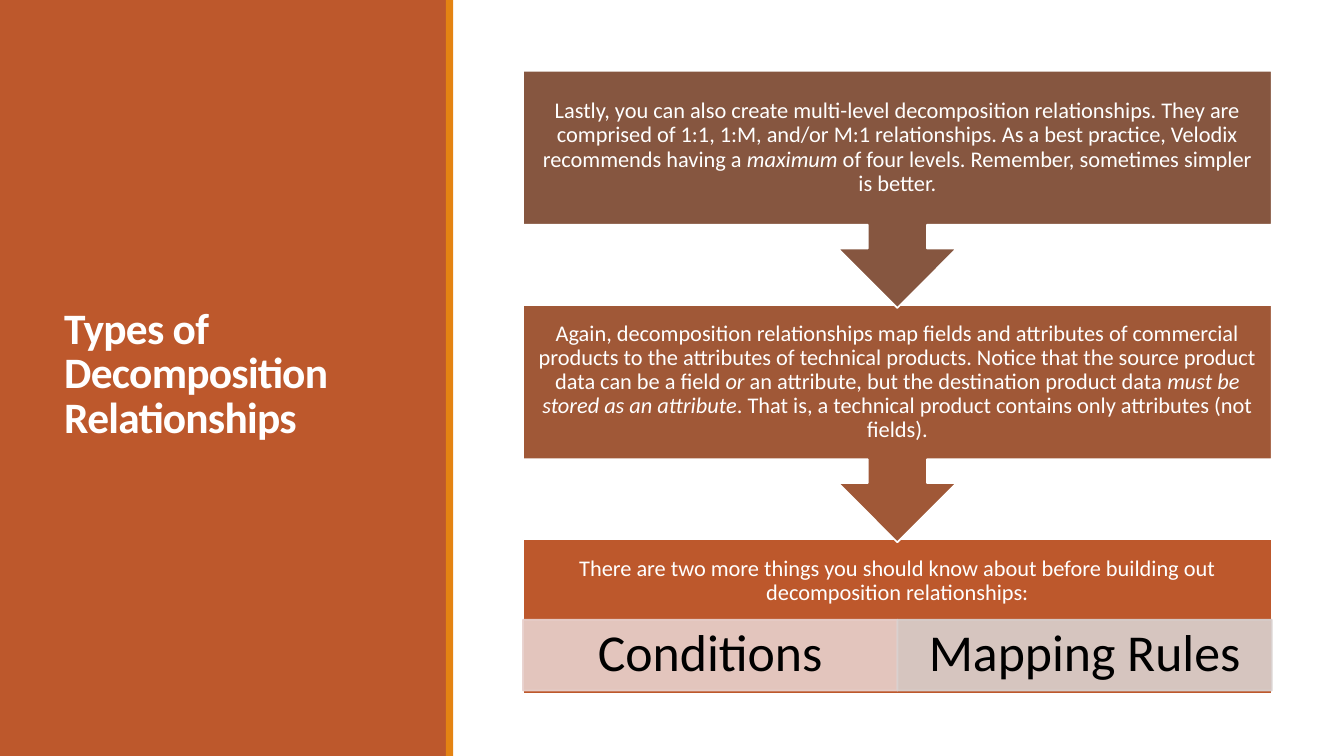
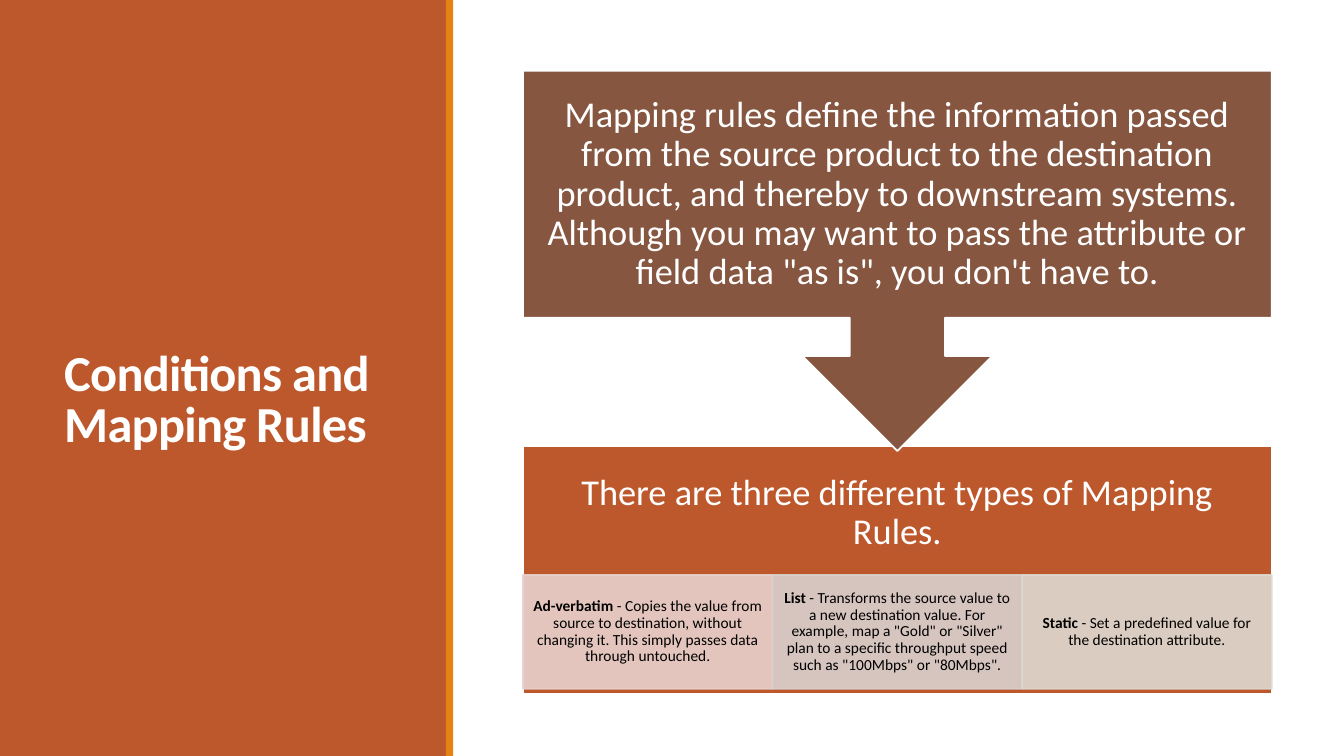
from lxml import etree
from pptx import Presentation
from pptx.dml.color import RGBColor
from pptx.enum.shapes import MSO_SHAPE
from pptx.enum.text import MSO_ANCHOR, PP_ALIGN
from pptx.oxml.ns import qn
from pptx.util import Cm, Pt

RECTANGLE = MSO_SHAPE.RECTANGLE
CALLOUT = MSO_SHAPE.DOWN_ARROW_CALLOUT
MIDDLE = MSO_ANCHOR.MIDDLE
LEFT, CENTER = PP_ALIGN.LEFT, PP_ALIGN.CENTER

# Colours
RUST = RGBColor(0xBD, 0x58, 0x2C)
ORANGE = RGBColor(0xE4, 0x83, 0x12)
WHITE = RGBColor(0xFF, 0xFF, 0xFF)
BLACK = RGBColor(0x00, 0x00, 0x00)
CALLOUT_COLORS = [RGBColor(0x86, 0x56, 0x40), RGBColor(0xA0, 0x58, 0x37)]
TILE_COLORS = [
    RGBColor(0xE8, 0xD1, 0xCD),
    RGBColor(0xD9, 0xD1, 0xCF),
    RGBColor(0xDE, 0xD9, 0xD1),
]

# Layout in centimetres
SLIDE_WIDTH, SLIDE_HEIGHT = 33.87, 19.05
PANEL_WIDTH, STRIPE_WIDTH = 11.24, 0.18
FLOW_LEFT, FLOW_TOP = 13.18, 1.78
FLOW_WIDTH, FLOW_HEIGHT = 18.87, 15.7

# Proportions of one step box
GAP_SHARE = 0.52
BOX_SHARE_OF_CALLOUT = 0.65
HEADING_SHARE = 0.54
TILE_TOP_SHARE, TILE_HEIGHT_SHARE = 0.52, 0.46


class Deck:
    """Holds the style and the current slide."""

    font = "Calibri"

    def __init__(self):
        self.presentation = Presentation()
        self.presentation.slide_width = Cm(SLIDE_WIDTH)
        self.presentation.slide_height = Cm(SLIDE_HEIGHT)
        self.slide = None

    def new_slide(self, title, size, top_inset=0.13):
        """Start a slide with its side panel, stripe and title."""
        layout = self.presentation.slide_layouts[6]
        self.slide = self.presentation.slides.add_slide(layout)
        self.shape(RECTANGLE, 0, 0, PANEL_WIDTH, SLIDE_HEIGHT, RUST)
        self.shape(RECTANGLE, PANEL_WIDTH, 0, STRIPE_WIDTH, SLIDE_HEIGHT, ORANGE)
        box = self.slide.shapes.add_textbox(Cm(1.37), Cm(1.45), Cm(8.56), Cm(16.03))
        self.text(box, f"*{title}*", size, WHITE, (0.25, top_inset, 0.25, 0.13),
                  "bold", LEFT, 0.85)
        for run in box.text_frame.paragraphs[0].runs:
            run.font._element.set("spc", "-50")

    def shape(self, kind, left, top, width, height, fill, line=None):
        shape = self.slide.shapes.add_shape(
            kind, Cm(left), Cm(top), Cm(width), Cm(height))
        shape.shadow.inherit = False
        shape.fill.solid()
        shape.fill.fore_color.rgb = fill
        if line is None:
            shape.line.fill.background()
        else:
            shape.line.color.rgb = line
            shape.line.width = Pt(1.25)
        return shape

    def text(self, shape, text, size, color, insets, emphasis="italic",
             align=CENTER, spacing=0.9):
        """Write text; parts between asterisks get the emphasis."""
        frame = shape.text_frame
        frame.word_wrap = True
        frame.vertical_anchor = MIDDLE
        (frame.margin_left, frame.margin_top,
         frame.margin_right, frame.margin_bottom) = map(Cm, insets)
        paragraph = frame.paragraphs[0]
        paragraph.alignment = align
        paragraph.line_spacing = spacing
        for index, part in enumerate(text.split("*")):
            if not part:
                continue
            run = paragraph.add_run()
            run.text = part
            run.font.name = self.font
            run.font.size = Pt(size)
            run.font.color.rgb = color
            if index % 2:
                setattr(run.font, emphasis, True)

    def tile(self, left, top, width, height, color, text, size):
        """Draw a slightly transparent tile."""
        tile = self.shape(RECTANGLE, left, top, width, height, color, color)
        for element in tile._element.spPr.iter(qn("a:srgbClr")):
            etree.SubElement(element, qn("a:alpha")).set("val", "90000")
        self.text(tile, text, size, BLACK, (0.23, 0.05, 0.23, 0.05), "bold")

    def flow(self, steps, heading, tiles, size, tile_size, inset):
        """Stack callouts above a last box that holds a row of tiles."""
        box_height = FLOW_HEIGHT / (1 + len(steps) * (1 + GAP_SHARE))
        pitch = box_height * (1 + GAP_SHARE)

        # Last box with its heading
        top = FLOW_TOP + len(steps) * pitch
        box = self.shape(RECTANGLE, FLOW_LEFT, top, FLOW_WIDTH, box_height, RUST, WHITE)
        below_heading = box_height * (1 - HEADING_SHARE)
        self.text(box, heading, size, WHITE,
                  (inset, inset, inset, inset + below_heading))

        # Tiles
        tile_width = FLOW_WIDTH / len(tiles)
        for index, (text, color) in enumerate(zip(tiles, TILE_COLORS)):
            self.tile(FLOW_LEFT + index * tile_width, top + box_height * TILE_TOP_SHARE,
                      tile_width, box_height * TILE_HEIGHT_SHARE, color, text, tile_size)

        # Callouts, lowest first so that each arrow tip lies on top
        for index, text in reversed(list(enumerate(steps))):
            callout = self.shape(
                CALLOUT, FLOW_LEFT, FLOW_TOP + index * pitch, FLOW_WIDTH,
                box_height / BOX_SHARE_OF_CALLOUT, CALLOUT_COLORS[index], WHITE)
            self.text(callout, text, size, WHITE, (inset,) * 4)


def main():
    deck = Deck()

    # Types of relationships
    deck.new_slide("Types of Decomposition Relationships", 31)
    deck.flow(
        steps=[
            "Lastly, you can also create multi-level decomposition relationships. "
            "They are comprised of 1:1, 1:M, and/or M:1 relationships. As a best "
            "practice, Velodix recommends having a *maximum* of four levels. "
            "Remember, sometimes simpler is better.",
            "Again, decomposition relationships map fields and attributes of "
            "commercial products to the attributes of technical products. Notice "
            "that the source product data can be a field *or* an attribute, but the "
            "destination product data *must be stored as an attribute*. That is, a "
            "technical product contains only attributes (not fields).",
        ],
        heading="There are two more things you should know about before building "
                "out decomposition relationships:",
        tiles=["Conditions", "Mapping Rules"],
        size=16, tile_size=37, inset=0.3)

    # Mapping rules
    deck.new_slide("Conditions and Mapping Rules", 36, top_inset=1.45)
    deck.flow(
        steps=[
            "Mapping rules define the information passed from the source product to "
            "the destination product, and thereby to downstream systems. Although "
            "you may want to pass the attribute or field data \"as is\", you don't "
            "have to.",
        ],
        heading="There are three different types of Mapping Rules.",
        tiles=[
            "*Ad-verbatim* - Copies the value from source to destination, without "
            "changing it. This simply passes data through untouched.",
            "*List* - Transforms the source value to a new destination value. For "
            "example, map a \"Gold\" or \"Silver\" plan to a specific throughput "
            "speed such as \"100Mbps\" or \"80Mbps\".",
            "*Static* - Set a predefined value for the destination attribute.",
        ],
        size=26, tile_size=11, inset=0.5)

    deck.presentation.save("out.pptx")


if __name__ == "__main__":
    main()
